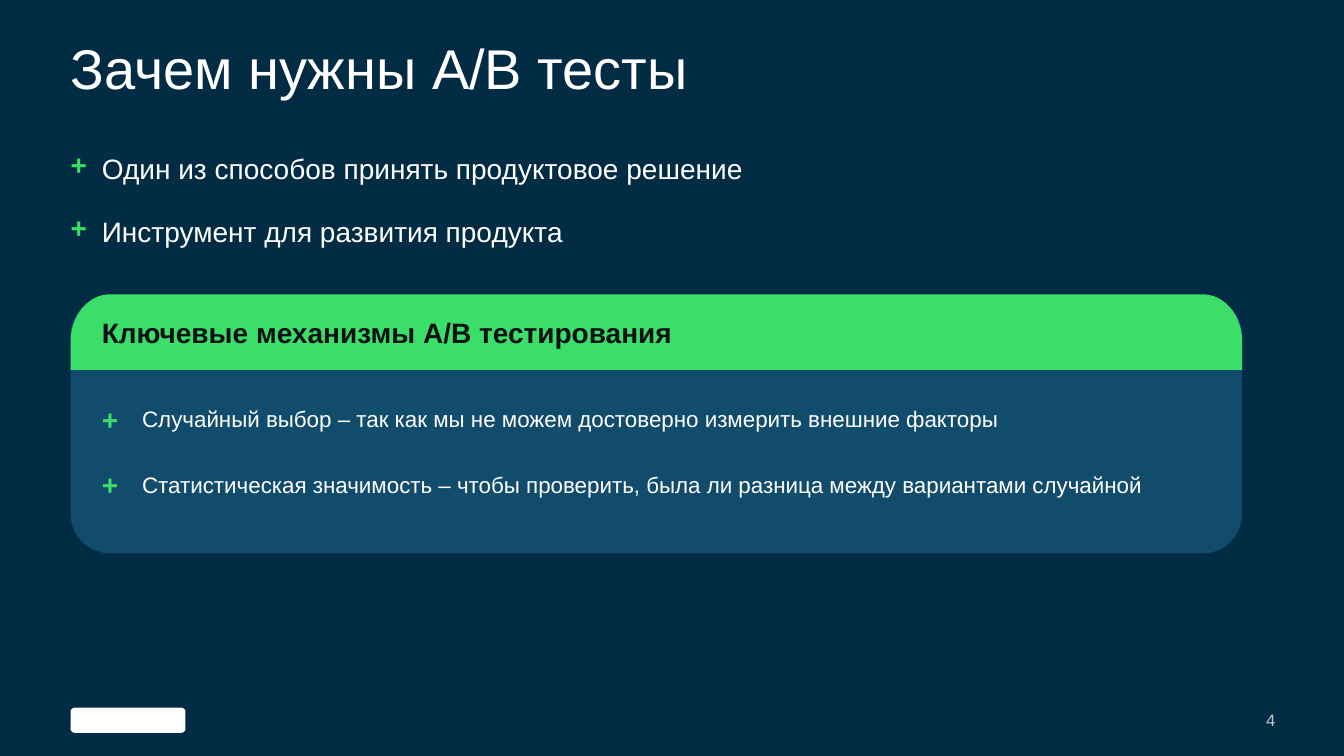
import math

from pptx import Presentation
from pptx import util as u
from pptx.dml.color import RGBColor
from pptx.enum import shapes, text

COLORS = {
    "background": "022B44",
    "panel": "124C6D",
    "green": "3ADE68",
    "white": "FFFFFF",
    "dark": "0E1114",
    "page": "C0C8CE",
}
FONT = "Arial"
MARGIN = 0.7


def paint(shape, color):
    """Give a shape a flat fill with no line or shadow."""
    shape.shadow.inherit = False
    shape.fill.solid()
    shape.fill.fore_color.rgb = RGBColor.from_string(COLORS[color])
    shape.line.fill.background()


def write(shape, words, size, color, bold=False, spacing=None,
          align=text.PP_ALIGN.LEFT, anchor=text.MSO_ANCHOR.TOP):
    """Put one formatted run into a shape without insets."""
    frame = shape.text_frame
    frame.word_wrap = True
    frame.auto_size = text.MSO_AUTO_SIZE.NONE
    frame.vertical_anchor = anchor
    frame.margin_left = frame.margin_right = 0
    frame.margin_top = frame.margin_bottom = 0
    paragraph = frame.paragraphs[0]
    paragraph.alignment = align
    if spacing:
        paragraph.line_spacing = spacing
    run = paragraph.add_run()
    run.text = words
    run.font.name = FONT
    run.font.size = u.Pt(size)
    run.font.bold = bold
    run.font.color.rgb = RGBColor.from_string(COLORS[color])


def add_text(slide, left, top, width, height, *content, **style):
    """Add a text box holding one line of text."""
    box = slide.shapes.add_textbox(
        u.Inches(left), u.Inches(top), u.Inches(width), u.Inches(height))
    write(box, *content, **style)


def add_title(slide, left, top, width, height, words):
    """Place and format the title placeholder."""
    title = slide.shapes.title
    title.left, title.top = u.Inches(left), u.Inches(top)
    title.width, title.height = u.Inches(width), u.Inches(height)
    write(title, words, 40, "white", spacing=0.82)


def add_plus_list(slide, left, top, width, items, size, step, indent, drop):
    """Add evenly spaced lines, each led by a green plus."""
    for index, words in enumerate(items):
        line_top = top + index * step
        add_text(slide, left, line_top + drop, indent, 0.29,
                 "+", 20, "green", bold=True, spacing=0.85)
        add_text(slide, left + indent, line_top, width - indent, 0.5,
                 words, size, "white")


def add_panel_header(slide, left, top, width, height, words):
    """Draw the green band with rounded upper corners and its heading."""
    radius_x, radius_y, steps = 0.39, 0.47, 24
    angles = [math.pi / 2 * step / steps for step in range(steps + 1)]
    left_corner = [(left + radius_x * (1 - math.cos(angle)),
                    top + radius_y * (1 - math.sin(angle))) for angle in angles]
    right_corner = [(2 * left + width - x, y) for x, y in reversed(left_corner)]
    bottom = top + height
    outline = left_corner + right_corner + [(left + width, bottom)]
    builder = slide.shapes.build_freeform(u.Inches(left), u.Inches(bottom))
    builder.add_line_segments([(u.Inches(x), u.Inches(y)) for x, y in outline])
    paint(builder.convert_to_shape(), "green")
    add_text(slide, left + 0.31, top + 0.21, 6.72, 0.45,
             words, 20, "dark", bold=True)


def add_panel(slide, left, top, width, height, heading, items):
    """Draw the rounded panel with its header and list."""
    body = slide.shapes.add_shape(
        shapes.MSO_SHAPE.ROUNDED_RECTANGLE, u.Inches(left),
        u.Inches(top + 0.02), u.Inches(width), u.Inches(height - 0.02))
    body.adjustments[0] = 0.154
    paint(body, "panel")
    add_panel_header(slide, left, top, width, 0.75, heading)
    add_plus_list(slide, left + 0.31, top + 1.1, width - 0.71, items,
                  size=16, step=0.65, indent=0.4, drop=0.02)


def add_footer(slide, left, top, width, height, number):
    """Add the plain footer mark and the page number."""
    mark = slide.shapes.add_shape(
        shapes.MSO_SHAPE.ROUNDED_RECTANGLE, u.Inches(left),
        u.Inches(top), u.Inches(1.14), u.Inches(height))
    paint(mark, "white")
    add_text(slide, left + width - 0.99, top, 0.99, height, number, 12, "page",
             align=text.PP_ALIGN.RIGHT, anchor=text.MSO_ANCHOR.MIDDLE)


def main():
    """Build and save the slide."""
    presentation = Presentation()
    presentation.slide_width = u.Inches(13.33)
    presentation.slide_height = u.Inches(7.5)
    slide = presentation.slides.add_slide(presentation.slide_layouts[5])
    slide.background.fill.solid()
    slide.background.fill.fore_color.rgb = RGBColor.from_string(
        COLORS["background"])
    add_title(slide, MARGIN, 0.45, 11.93, 0.75, "Зачем нужны A/B тесты")
    add_plus_list(slide, MARGIN, 1.5, 8.03, [
        "Один из способов принять продуктовое решение",
        "Инструмент для развития продукта",
    ], size=20, step=0.63, indent=0.31, drop=0.01)
    add_panel(slide, MARGIN, 2.92, 11.62, 2.57,
              "Ключевые механизмы A/B тестирования", [
                  "Случайный выбор – так как мы не можем достоверно измерить "
                  "внешние факторы",
                  "Статистическая значимость – чтобы проверить, была ли "
                  "разница между вариантами случайной",
              ])
    add_footer(slide, MARGIN, 7.02, 11.95, 0.25, "4")
    presentation.save("out.pptx")


if __name__ == "__main__":
    main()
